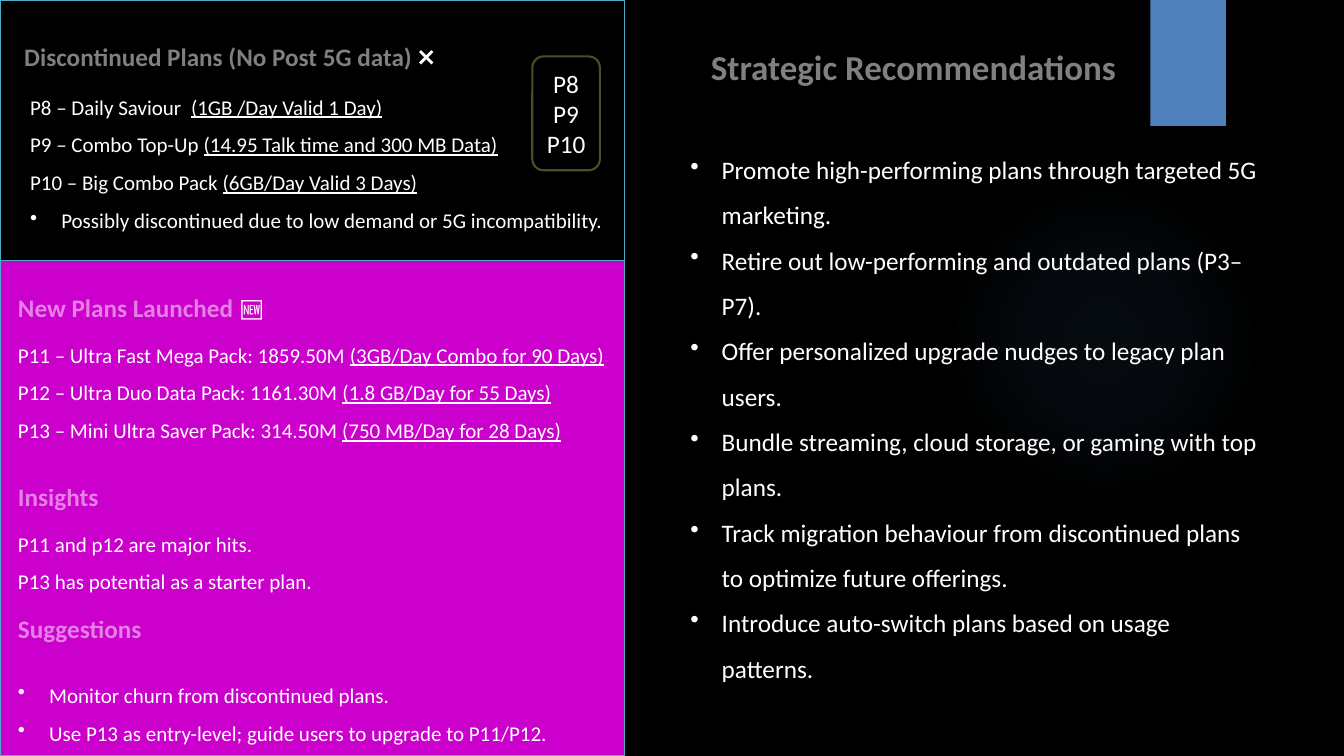
from pptx import Presentation
from pptx.dml.color import RGBColor
from pptx.enum.shapes import MSO_SHAPE
from pptx.enum.text import MSO_ANCHOR, MSO_AUTO_SIZE, PP_ALIGN
from pptx.oxml import parse_xml
from pptx.oxml.ns import nsdecls, qn
from pptx.oxml.xmlchemy import OxmlElement
from pptx.util import Inches, Pt

BLACK = RGBColor(0x00, 0x00, 0x00)
WHITE = RGBColor(0xFF, 0xFF, 0xFF)
MAGENTA = RGBColor(0xFF, 0x00, 0xFF)
BLUE = RGBColor(0x4F, 0x81, 0xBD)
GLOW = RGBColor(0x55, 0x8E, 0xD5)
TEAL = RGBColor(0x4B, 0xAC, 0xC6)
OLIVE = RGBColor(0x44, 0x52, 0x27)

LINE_PITCH = 0.375
INDENT = Inches(0.31)

DISCONTINUED_PLANS = [
    ("P8 – Daily Saviour  ", "(1GB /Day Valid 1 Day)"),
    ("P9 – Combo Top-Up ", "(14.95 Talk time and 300 MB Data)"),
    ("P10 – Big Combo Pack ", "(6GB/Day Valid 3 Days)"),
]
NEW_PLANS = [
    ("P11 – Ultra Fast Mega Pack: 1859.50M ", "(3GB/Day Combo for 90 Days)"),
    ("P12 – Ultra Duo Data Pack: 1161.30M ", "(1.8 GB/Day for 55 Days)"),
    ("P13 – Mini Ultra Saver Pack: 314.50M ", "(750 MB/Day for 28 Days)"),
]
INSIGHTS = [("P11 and p12 are major hits.",), ("P13 has potential as a starter plan.",)]
SUGGESTIONS = [
    ("Monitor churn from discontinued plans.",),
    ("Use P13 as entry-level; guide users to upgrade to P11/P12.",),
]
RECOMMENDATIONS = [
    ("Promote high-performing plans through targeted 5G marketing.",),
    ("Retire out low-performing and outdated plans (P3–P7).",),
    ("Offer personalized upgrade nudges to legacy plan users.",),
    ("Bundle streaming, cloud storage, or gaming with top plans.",),
    ("Track migration behaviour from discontinued plans to optimize future offerings.",),
    ("Introduce auto-switch plans based on usage patterns.",),
]


def set_alpha(properties, percent):
    color = properties.find(qn("a:solidFill"))[0]
    alpha = OxmlElement("a:alpha")
    alpha.set("val", str(percent * 1000))
    color.append(alpha)


def add_run(paragraph, text, size=15, bold=False, underline=False, alpha=100):
    run = paragraph.add_run()
    run.text = text
    font = run.font
    font.name = "Calibri"
    font.size = Pt(size)
    font.bold = bold
    font.underline = underline
    font.color.rgb = WHITE
    if alpha < 100:
        set_alpha(font._element, alpha)


def add_bullet(paragraph):
    properties = paragraph._p.get_or_add_pPr()
    properties.set("marL", str(INDENT))
    properties.set("indent", str(-INDENT))
    bullet = OxmlElement("a:buChar")
    bullet.set("char", "•")
    properties.append(bullet)


def add_text_box(slide, left, top, width, height):
    box = slide.shapes.add_textbox(Inches(left), Inches(top), Inches(width), Inches(height))
    box.text_frame.word_wrap = True
    return box.text_frame


def add_lines(slide, left, top, width, lines, size=15, bullets=()):
    frame = add_text_box(slide, left, top, width, len(lines) * LINE_PITCH + 0.1)
    for index, line in enumerate(lines):
        paragraph = frame.paragraphs[0] if index == 0 else frame.add_paragraph()
        if index in bullets:
            add_bullet(paragraph)
        paragraph.line_spacing = 1.5
        for position, text in enumerate(line):
            add_run(paragraph, text, size=size, underline=position == 1)


def add_heading(slide, left, top, width, text, symbol="", align=PP_ALIGN.LEFT):
    paragraph = add_text_box(slide, left, top, width, 0.4).paragraphs[0]
    paragraph.alignment = align
    add_run(paragraph, text, size=18, bold=True, alpha=50)
    if symbol:
        add_run(paragraph, symbol, size=18)


def add_block(slide, kind, left, top, width, height, fill, line=None, line_width=0.75, alpha=100):
    shape = slide.shapes.add_shape(
        kind, Inches(left), Inches(top), Inches(width), Inches(height))
    shape.shadow.inherit = False
    shape.fill.solid()
    shape.fill.fore_color.rgb = fill
    if alpha < 100:
        set_alpha(shape._element.spPr, alpha)
    if line is None:
        shape.line.fill.background()
    else:
        shape.line.color.rgb = line
        shape.line.width = Pt(line_width)
    return shape


def add_backdrop(slide):
    slide.background.fill.solid()
    slide.background.fill.fore_color.rgb = BLACK
    glow = add_block(slide, MSO_SHAPE.OVAL, 9.41, 1.83, 3.08, 3.08, GLOW)
    stops = "".join(
        f'<a:gs pos="{position * 1000}"><a:srgbClr val="{GLOW}">'
        f'<a:alpha val="{alpha * 1000}"/></a:srgbClr></a:gs>'
        for position, alpha in ((0, 7), (36, 6), (69, 0)))
    gradient = parse_xml(
        f'<a:gradFill {nsdecls("a")}><a:gsLst>{stops}</a:gsLst><a:path path="circle">'
        '<a:fillToRect l="50000" t="50000" r="50000" b="50000"/></a:path></a:gradFill>')
    properties = glow._element.spPr
    properties.replace(properties.find(qn("a:solidFill")), gradient)
    add_block(slide, MSO_SHAPE.RECTANGLE, 11.41, 0, 0.75, 1.25, BLUE)


def add_discontinued_panel(slide, left, top, width, height):
    add_block(slide, MSO_SHAPE.RECTANGLE, left, top, width, height, BLACK, TEAL, alpha=50)
    reason = ("Possibly discontinued due to low demand or 5G incompatibility.",)
    add_lines(slide, left + 0.2, top + 0.76, 6.67, DISCONTINUED_PLANS + [reason], bullets=(3,))
    add_heading(slide, left + 0.08, top + 0.36, 4.45, "Discontinued Plans (No Post 5G data) ",
                "❌ ", PP_ALIGN.CENTER)
    badge = add_block(slide, MSO_SHAPE.ROUNDED_RECTANGLE, left + 5.28, top + 0.56, 0.67, 1.13,
                      BLACK, OLIVE, 1.5)
    frame = badge.text_frame
    frame.word_wrap = True
    frame.vertical_anchor = MSO_ANCHOR.MIDDLE
    frame.paragraphs[0].alignment = PP_ALIGN.CENTER
    add_run(frame.paragraphs[0], "P8 P9 P10", size=18)


def add_new_plans_panel(slide, left, top, width, height):
    add_block(slide, MSO_SHAPE.RECTANGLE, left, top, width, height, MAGENTA, TEAL, alpha=80)
    text_left = left + 0.08
    body_top = top + 0.64
    add_lines(slide, text_left, body_top, 6.67, NEW_PLANS)
    add_lines(slide, text_left, body_top + 5 * LINE_PITCH, 6.67, INSIGHTS)
    add_lines(slide, text_left, body_top + 9 * LINE_PITCH, 6.67, SUGGESTIONS, bullets=(0, 1))
    add_heading(slide, text_left, top + 0.27, 2.8, "New Plans Launched ", "🆕")
    add_heading(slide, text_left, top + 2.15, 2.8, "Insights")
    add_heading(slide, text_left, top + 3.46, 2.8, "Suggestions")


def add_recommendations(slide, left, top):
    title = slide.shapes.title
    title.left, title.top = Inches(left), Inches(top)
    title.width, title.height = Inches(5.12), Inches(0.52)
    frame = title.text_frame
    frame.auto_size = MSO_AUTO_SIZE.NONE
    frame.vertical_anchor = MSO_ANCHOR.TOP
    frame.paragraphs[0].alignment = PP_ALIGN.CENTER
    add_run(frame.paragraphs[0], "Strategic Recommendations", size=25, bold=True, alpha=50)
    add_lines(slide, left + 0.25, top + 0.93, 5.82, RECOMMENDATIONS, size=18,
              bullets=range(len(RECOMMENDATIONS)))


def main():
    presentation = Presentation()
    presentation.slide_width = Inches(13.33)
    presentation.slide_height = Inches(7.5)
    slide = presentation.slides.add_slide(presentation.slide_layouts[5])
    add_backdrop(slide)
    add_new_plans_panel(slide, 0, 2.58, 6.19, 4.92)
    add_discontinued_panel(slide, 0, 0, 6.19, 2.58)
    add_recommendations(slide, 6.5, 0.4)
    presentation.save("out.pptx")


if __name__ == "__main__":
    main()
